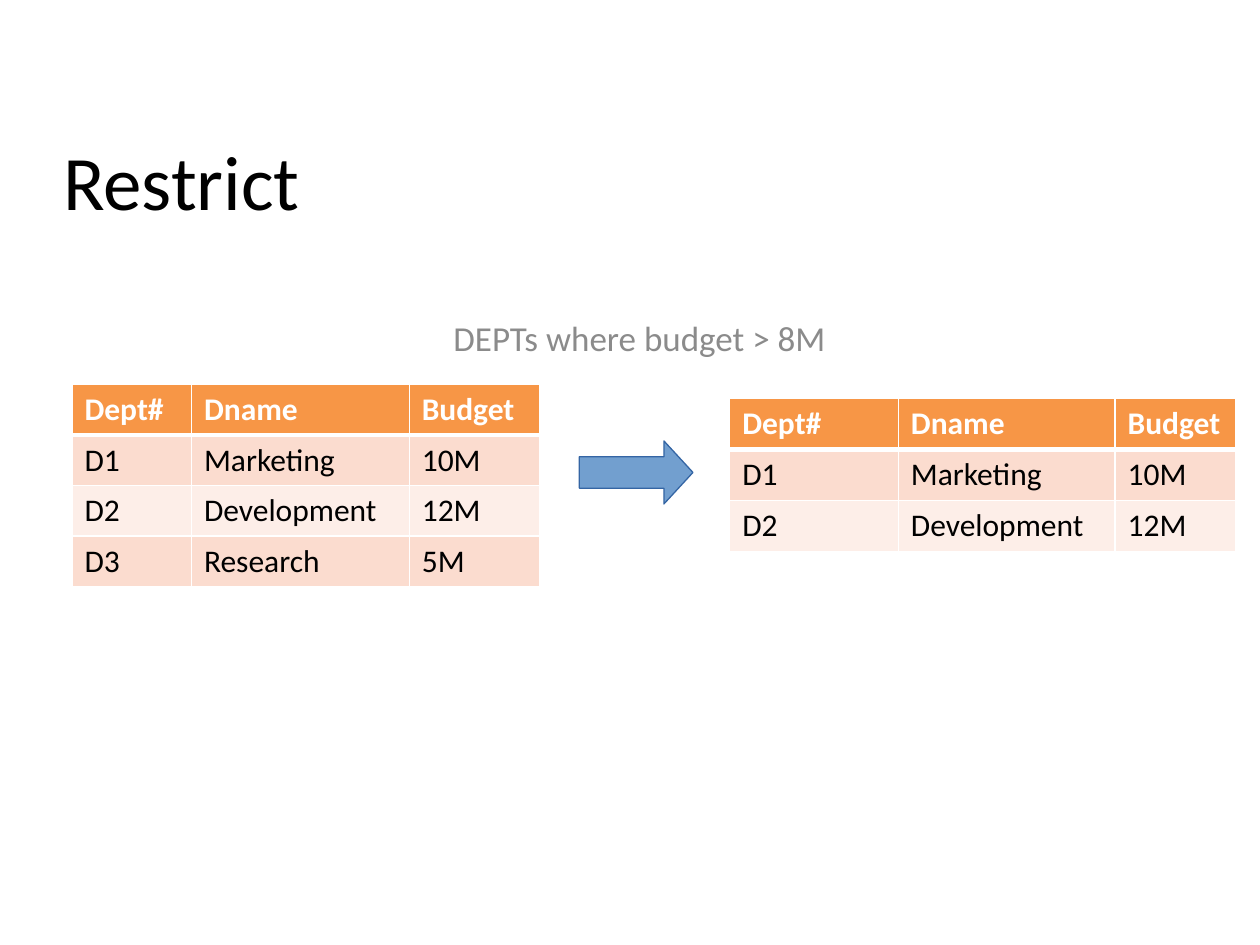
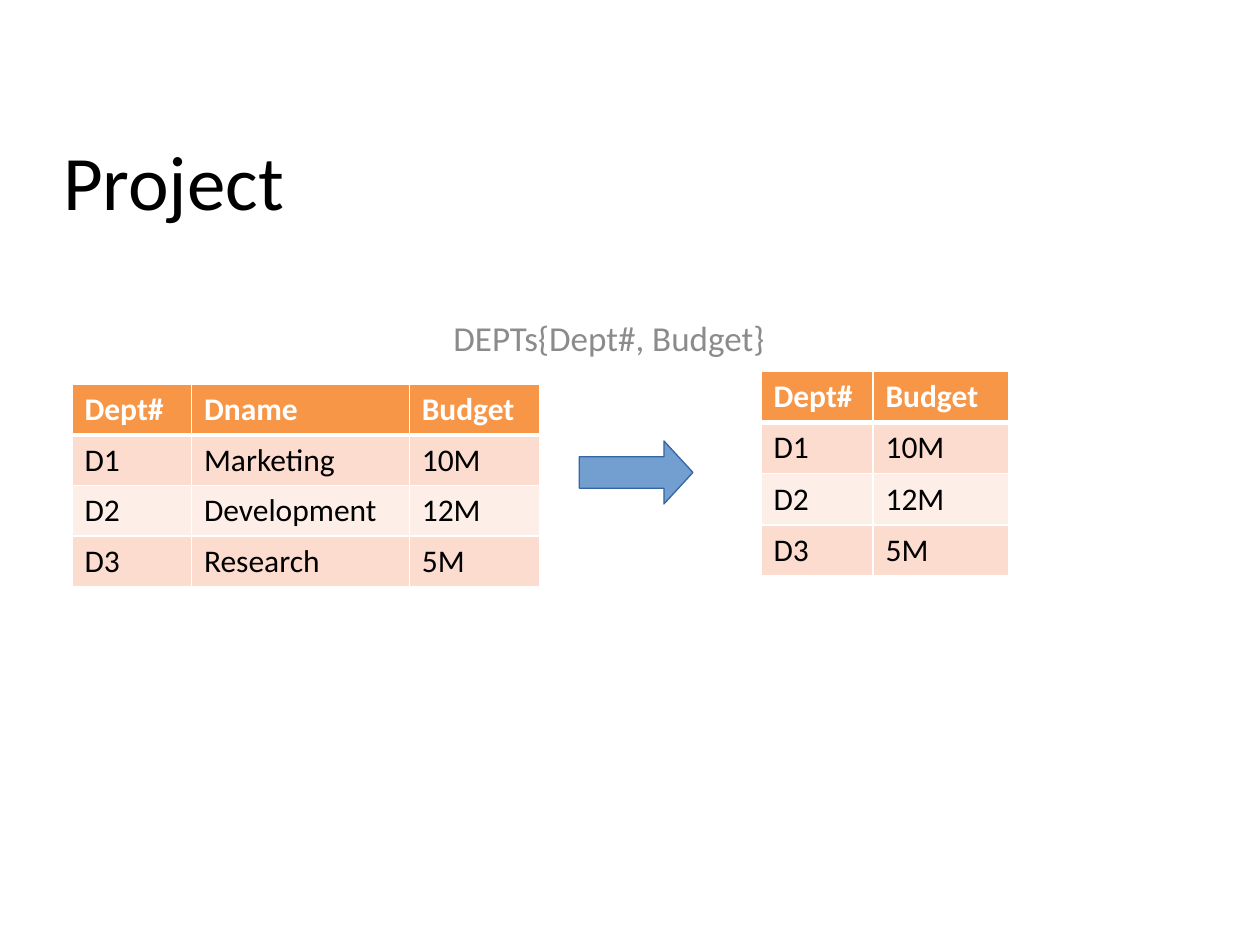
"""Build two slides showing the relational operators restrict and project."""
from dataclasses import dataclass

from lxml.etree import SubElement
from pptx import Presentation
from pptx.dml.color import RGBColor
from pptx.enum.shapes import MSO_SHAPE
from pptx.enum.text import MSO_ANCHOR, PP_ALIGN
from pptx.oxml.ns import qn
from pptx.slide import Slide
from pptx.table import _Cell
from pptx.text.text import _Paragraph
from pptx.util import Cm, Pt

FONT = "Calibri"
BLACK, WHITE, GREY = "000000", "FFFFFF", "8B8B8B"
HEADER, BANDS = "F79646", ("FBDCCF", "FDEEE8")
ARROW_FILL, ARROW_LINE = "729FCF", "3465A4"
THIN, THICK = 0.96, 3

Rows = list[tuple[str, ...]]
DEPTS: Rows = [
    ("Dept#", "Dname", "Budget"),
    ("D1", "Marketing", "10M"),
    ("D2", "Development", "12M"),
    ("D3", "Research", "5M"),
]


@dataclass(frozen=True)
class Relation:
    """A table of rows with its place and sizes in centimetres."""
    rows: Rows
    left: float
    top: float
    widths: tuple[float, ...]
    row_height: float


@dataclass(frozen=True)
class Operation:
    """A relational operator, its expression and its result."""
    title: str
    expression: str
    result: Relation


SOURCE = Relation(DEPTS, 1.45, 7.75, (2.41, 4.39, 2.64), 1.02)
OPERATIONS = [
    Operation("Restrict", "DEPTs where budget > 8M",
              Relation(DEPTS[:3], 14.71, 8.03, (3.4, 4.37, 2.44), 1.03)),
    Operation("Project", "DEPTs{Dept#, Budget}",
              Relation([(dept, budget) for dept, _, budget in DEPTS],
                       15.34, 7.49, (2.26, 2.74), 1.03)),
]


def color(value: str) -> RGBColor:
    """Turn a hex string into a colour."""
    return RGBColor.from_string(value)


def style(paragraph: _Paragraph, size: float, ink: str, bold: bool = False) -> None:
    """Format every run of a paragraph."""
    for run in paragraph.runs:
        run.font.name = FONT
        run.font.size = Pt(size)
        run.font.bold = bold
        run.font.color.rgb = color(ink)


def add_borders(cell: _Cell, top: float, bottom: float) -> None:
    """Draw white borders, with the given top and bottom weights in points."""
    properties = cell._tc.get_or_add_tcPr()
    for side, weight in (("L", THIN), ("R", THIN), ("T", top), ("B", bottom)):
        border = SubElement(properties, qn(f"a:ln{side}"), w=str(Pt(weight)))
        SubElement(SubElement(border, qn("a:solidFill")), qn("a:srgbClr"), val=WHITE)


def add_relation(slide: Slide, relation: Relation) -> None:
    """Draw a relation as a banded table."""
    count = len(relation.rows)
    table = slide.shapes.add_table(
        count, len(relation.widths), Cm(relation.left), Cm(relation.top),
        Cm(sum(relation.widths)), Cm(relation.row_height * count)).table
    table.horz_banding = False
    for column, width in zip(table.columns, relation.widths):
        column.width = Cm(width)
    for index, values in enumerate(relation.rows):
        table.rows[index].height = Cm(relation.row_height)
        is_header = index == 0
        for cell, value in zip(table.rows[index].cells, values):
            cell.text_frame.text = value
            style(cell.text_frame.paragraphs[0], 18,
                  WHITE if is_header else BLACK, is_header)
            add_borders(cell, THICK if index == 1 else THIN,
                        THICK if is_header else THIN)
            cell.fill.solid()
            cell.fill.fore_color.rgb = color(
                HEADER if is_header else BANDS[(index - 1) % 2])


def add_title(slide: Slide, text: str) -> None:
    """Place and format the slide title."""
    title = slide.shapes.title
    title.left, title.top, title.width, title.height = (
        Cm(1.27), Cm(2.69), Cm(22.86), Cm(1.85))
    frame = title.text_frame
    frame.margin_left = frame.margin_right = frame.margin_top = frame.margin_bottom = 0
    frame.vertical_anchor = MSO_ANCHOR.MIDDLE
    frame.text = text
    frame.paragraphs[0].alignment = PP_ALIGN.LEFT
    style(frame.paragraphs[0], 44, BLACK)


def add_expression(slide: Slide, text: str) -> None:
    """Write the relational expression above the tables."""
    frame = slide.shapes.add_textbox(Cm(8.89), Cm(6.35), Cm(8.1), Cm(1.02)).text_frame
    frame.word_wrap = True
    frame.text = text
    frame.paragraphs[0].line_spacing = 0.9
    style(frame.paragraphs[0], 20, GREY)


def add_arrow(slide: Slide) -> None:
    """Draw the block arrow from the source to the result."""
    arrow = slide.shapes.add_shape(
        MSO_SHAPE.RIGHT_ARROW, Cm(11.68), Cm(8.89), Cm(2.29), Cm(1.27))
    arrow.adjustments[1] = 0.46
    arrow.shadow.inherit = False
    arrow.fill.solid()
    arrow.fill.fore_color.rgb = color(ARROW_FILL)
    arrow.line.color.rgb = color(ARROW_LINE)
    arrow.line.width = Pt(0)


def main() -> None:
    """Build and save the slides."""
    deck = Presentation()
    deck.slide_width, deck.slide_height = Cm(25.4), Cm(19.05)
    for operation in OPERATIONS:
        slide = deck.slides.add_slide(deck.slide_layouts[5])
        add_title(slide, operation.title)
        add_expression(slide, operation.expression)
        add_relation(slide, SOURCE)
        add_arrow(slide)
        add_relation(slide, operation.result)
    deck.save("out.pptx")


if __name__ == "__main__":
    main()
